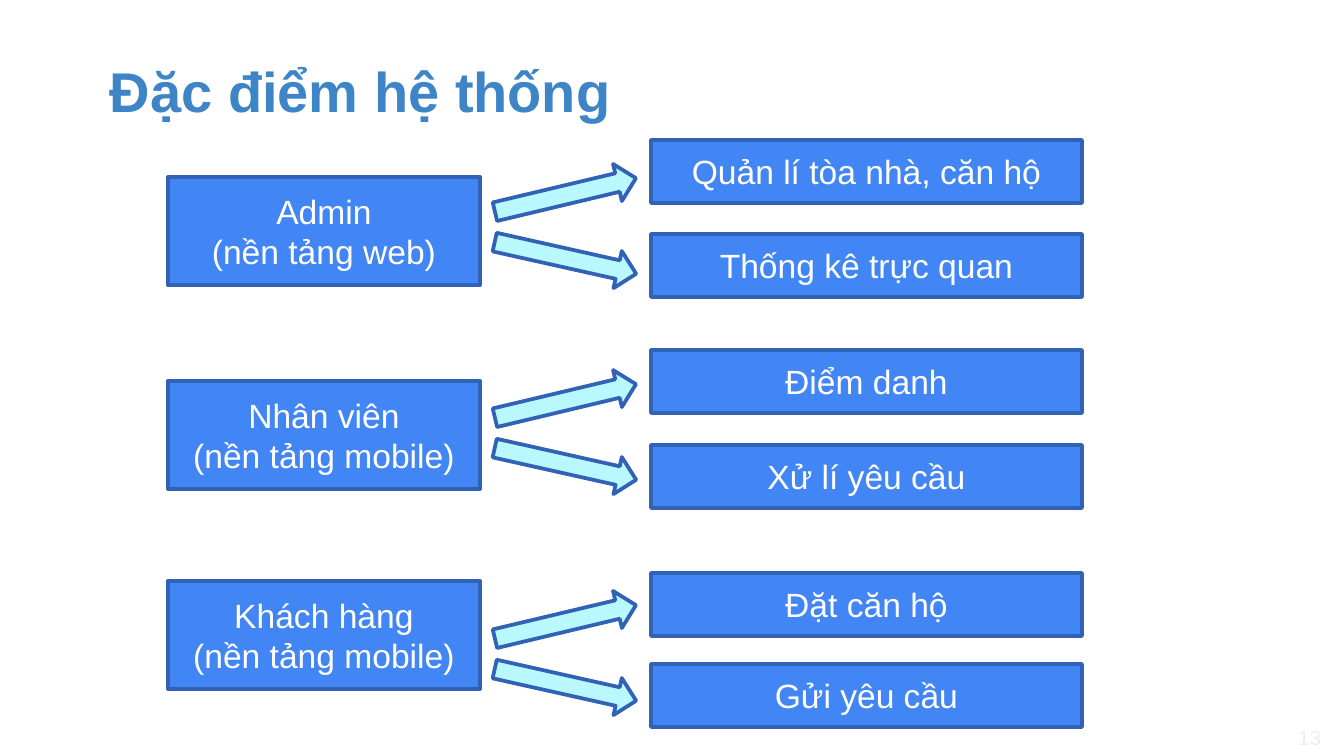
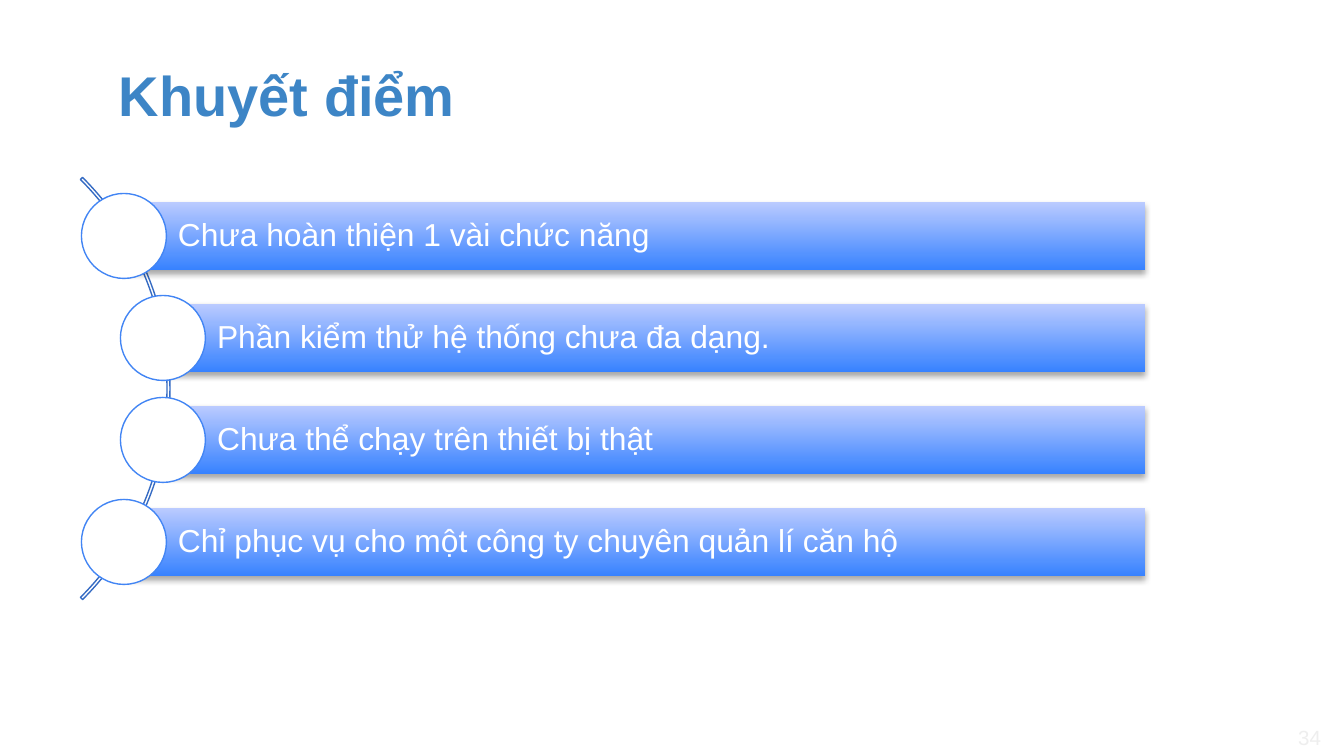
"""Build two slides: system roles with their features, and the list of weak points."""
from lxml.etree import SubElement
from pptx import Presentation
from pptx.dml.color import RGBColor
from pptx.enum.shapes import MSO_SHAPE
from pptx.enum.text import MSO_ANCHOR, PP_ALIGN
from pptx.oxml.ns import qn
from pptx.util import Emu, Pt

PX = 914400 / 134.4
FONT = "Arial"
WHITE = RGBColor(0xFF, 0xFF, 0xFF)
TITLE_BLUE = RGBColor(0x3D, 0x85, 0xC6)
BLUE = RGBColor(0x42, 0x85, 0xF4)
DARK_BLUE = RGBColor(0x31, 0x62, 0xB5)
ARC_BLUE = RGBColor(0x35, 0x6B, 0xC3)
ARROW_CYAN = RGBColor(0xBA, 0xF8, 0xFF)
BAR_BOTTOM = RGBColor(0x37, 0x82, 0xFF)
BAR_TOP = RGBColor(0xBB, 0xCB, 0xFF)
PAGE_GREY = RGBColor(0xEE, 0xEE, 0xEE)

SYSTEM = {"title": "Đặc điểm hệ thống", "title_at": (97, 38), "page": "13"}
ROLES = [
    {"role": ["Admin", "(nền tảng web)"], "top": 177, "arrow_top": 176,
     "features": [("Quản lí tòa nhà, căn hộ", 140), ("Thống kê trực quan", 234)]},
    {"role": ["Nhân viên", "(nền tảng mobile)"], "top": 381, "arrow_top": 382,
     "features": [("Điểm danh", 350), ("Xử lí yêu cầu", 445)]},
    {"role": ["Khách hàng", "(nền tảng mobile)"], "top": 581, "arrow_top": 603,
     "features": [("Đặt căn hộ", 573), ("Gửi yêu cầu", 664)]},
]
ARROW_TURNS = (-13.4, 12.6)
ARROW_STEP = 63

WEAKNESSES = {"title": "Khuyết điểm", "title_at": (106, 42), "page": "34"}
POINTS = [
    ("Chưa hoàn thiện 1 vài chức năng", 124),
    ("Phần kiểm thử hệ thống chưa đa dạng.", 163),
    ("Chưa thể chạy trên thiết bị thật", 163),
    ("Chỉ phục vụ cho một công ty chuyên quản lí căn hộ", 124),
]
BAR_RIGHT, FIRST_BAR, BAR_STEP, BAR_HEIGHT = 1145, 202, 102, 68
DOT = 85


def px(*lengths):
    return [Emu(round(length * PX)) for length in lengths]


def write(shape, lines, size, color, align, anchor=MSO_ANCHOR.MIDDLE,
          insets=(13, 7, 13, 7), bold=False, spacing=None):
    frame = shape.text_frame
    frame.word_wrap = True
    frame.vertical_anchor = anchor
    (frame.margin_left, frame.margin_top,
     frame.margin_right, frame.margin_bottom) = px(*insets)
    for index, line in enumerate(lines):
        paragraph = frame.add_paragraph() if index else frame.paragraphs[0]
        paragraph.alignment = align
        paragraph.line_spacing = spacing
        run = paragraph.add_run()
        run.text = line
        run.font.name, run.font.size, run.font.bold = FONT, Pt(size), bold
        run.font.color.rgb = color


def add_figure(slide, preset, box, fill=None, line=None, width=2):
    shape = slide.shapes.add_shape(preset, *px(*box))
    shape.shadow.inherit = False
    if fill is None:
        shape.fill.background()
    else:
        shape.fill.solid()
        shape.fill.fore_color.rgb = fill
    if line is None:
        shape.line.fill.background()
    else:
        shape.line.color.rgb = line
        shape.line.width = Pt(width)
        SubElement(shape.line._get_or_add_ln(), qn("a:round"))
    return shape


def add_box(slide, lines, box):
    shape = add_figure(slide, MSO_SHAPE.RECTANGLE, box, BLUE, DARK_BLUE)
    write(shape, lines, 18, WHITE, PP_ALIGN.CENTER)


def add_bar(slide, text, left, top):
    bar = add_figure(slide, MSO_SHAPE.RECTANGLE,
                     (left, top, BAR_RIGHT - left, BAR_HEIGHT))
    bar.fill.gradient()
    bar.fill.gradient_angle = 90
    for stop, color in zip(bar.fill.gradient_stops, (BAR_BOTTOM, BAR_TOP)):
        stop.color.rgb = color
    effects = bar._element.spPr.find(qn("a:effectLst"))
    shadow = SubElement(effects, qn("a:outerShdw"), blurRad="40000",
                        dist="23000", dir="5400000", rotWithShape="0")
    black = SubElement(shadow, qn("a:srgbClr"), val="000000")
    SubElement(black, qn("a:alpha"), val="35000")
    write(bar, [text], 17, WHITE, PP_ALIGN.LEFT, insets=(54, 7, 7, 7), spacing=0.9)


def start_slide(deck, heading):
    slide = deck.slides.add_slide(deck.slide_layouts[6])
    title = slide.shapes.add_textbox(*px(*heading["title_at"], 1133, 85))
    write(title, [heading["title"]], 30, TITLE_BLUE, PP_ALIGN.LEFT,
          MSO_ANCHOR.TOP, (13, 19, 13, 0), bold=True)
    page = slide.shapes.add_textbox(*px(1246, 718, 75, 38))
    write(page, [heading["page"]], 11, PAGE_GREY, PP_ALIGN.RIGHT, insets=(0, 0, 0, 0))
    return slide


def build_system(deck):
    slide = start_slide(deck, SYSTEM)
    for group in ROLES:
        add_box(slide, group["role"], (168, group["top"], 312, 108))
        for index, (feature, top) in enumerate(group["features"]):
            add_box(slide, [feature], (651, top, 431, 63))
            arrow = add_figure(
                slide, MSO_SHAPE.RIGHT_ARROW,
                (493, group["arrow_top"] + index * ARROW_STEP, 145, 38),
                ARROW_CYAN, DARK_BLUE)
            arrow.rotation = ARROW_TURNS[index]


def build_weaknesses(deck):
    slide = start_slide(deck, WEAKNESSES)
    arc = add_figure(slide, MSO_SHAPE.BLOCK_ARC, (-427, 90, 597, 597),
                     line=ARC_BLUE, width=0.75)
    for index, value in enumerate((189, 27, 0.005)):
        arc.adjustments[index] = value
    for index, (point, left) in enumerate(POINTS):
        top = FIRST_BAR + index * BAR_STEP
        add_bar(slide, point, left, top)
        add_figure(slide, MSO_SHAPE.OVAL,
                   (left - DOT / 2, top + (BAR_HEIGHT - DOT) / 2, DOT, DOT),
                   WHITE, BLUE, 0.75)


def main():
    deck = Presentation()
    deck.slide_width, deck.slide_height = px(1344, 756)
    build_system(deck)
    build_weaknesses(deck)
    deck.save("out.pptx")


if __name__ == "__main__":
    main()
